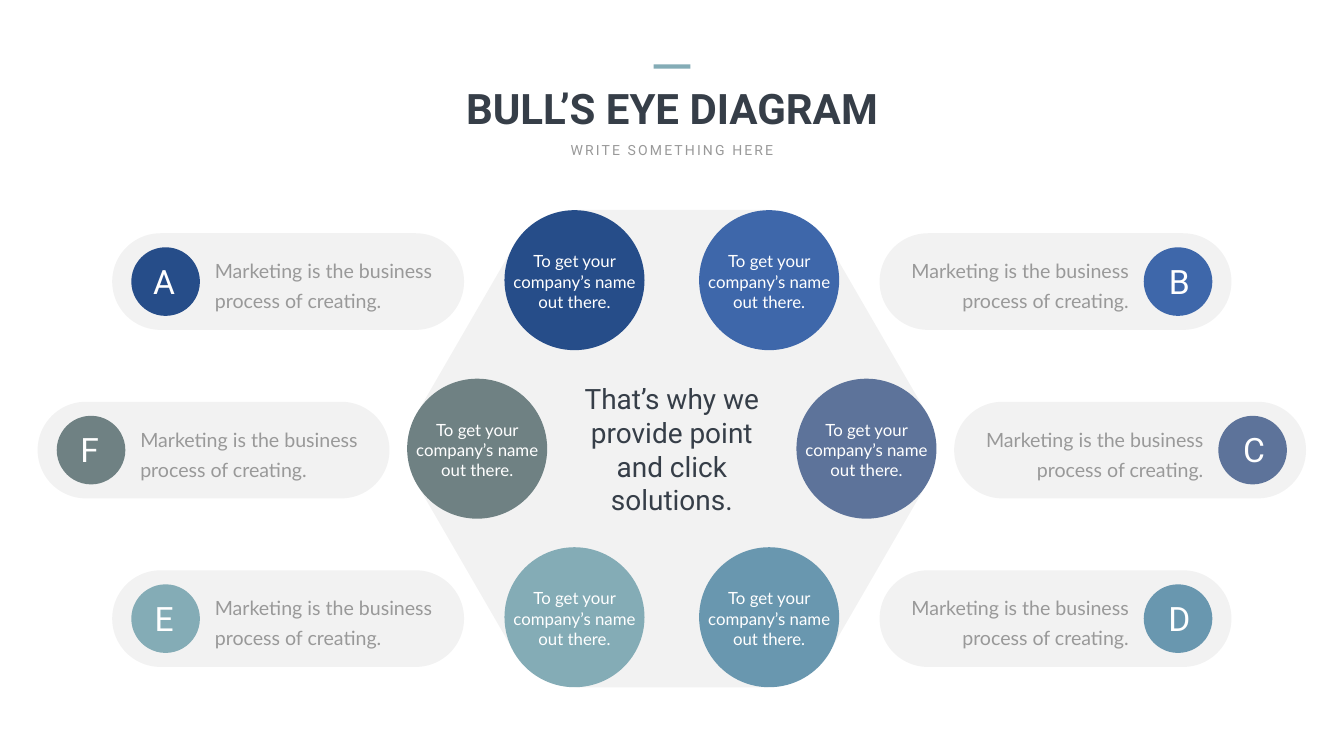
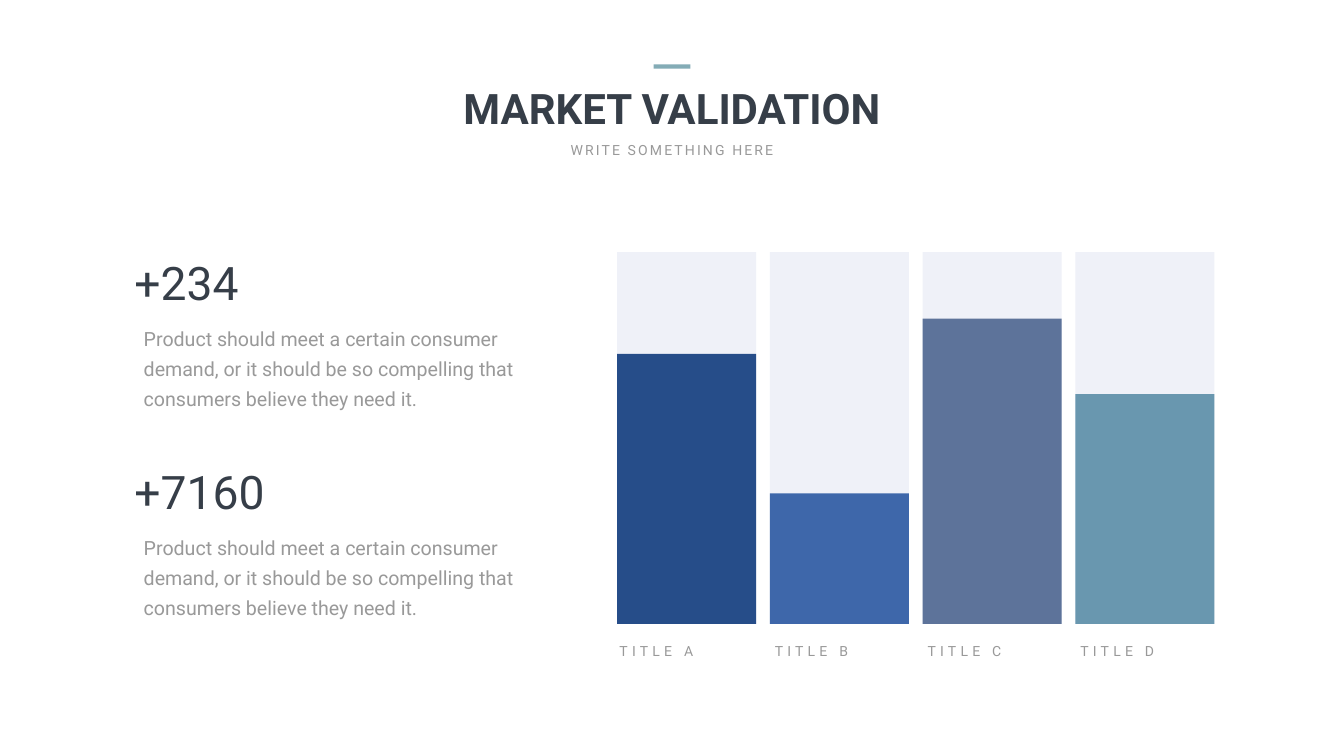
from dataclasses import dataclass
from math import cos, radians, sin

from lxml.etree import SubElement
from pptx import Presentation
from pptx.dml.color import RGBColor
from pptx.enum.shapes import MSO_SHAPE as Preset
from pptx.enum.text import PP_ALIGN as Align
from pptx.oxml.ns import qn
from pptx.shapes.autoshape import Shape
from pptx.slide import Slide
from pptx.util import Pt


@dataclass(frozen=True)
class Theme:
    """Colours, fonts and type sizes of both slides."""
    white: str = "FFFFFF"
    ink: str = "363E48"
    muted: str = "999999"
    veil: str = "808080"
    track: str = "EFF1F8"
    navy: str = "264D89"
    blue: str = "3E67AA"
    slate: str = "5D739A"
    steel: str = "6997AF"
    aqua: str = "84ACB6"
    moss: str = "6F8183"
    heading_font: str = "Roboto"
    body_font: str = "Lato"
    title_size: float = 60
    number_size: float = 66
    letter_size: float = 48
    center_size: float = 40
    body_size: float = 28
    node_size: float = 24
    label_size: float = 20
    body_leading: float = 43
    veil_opacity: int = 10


THEME = Theme()
SLIDE_WIDTH, SLIDE_HEIGHT = 1919.52, 1080
MIDDLE = SLIDE_WIDTH / 2


@dataclass(frozen=True)
class Box:
    """A rectangle in points."""
    left: float
    top: float
    width: float
    height: float

    @classmethod
    def around(cls, x: float, y: float, width: float, height: float) -> "Box":
        return cls(x - width / 2, y - height / 2, width, height)

    def lengths(self) -> tuple[Pt, Pt, Pt, Pt]:
        return Pt(self.left), Pt(self.top), Pt(self.width), Pt(self.height)


@dataclass(frozen=True)
class Style:
    """Appearance of a text box."""
    size: float
    color: str
    font: str = THEME.heading_font
    align: Align = Align.LEFT
    bold: bool = False
    tracking: float = 0
    leading: float = 0
    wrap: bool = True
    inset: tuple[float, float] = (7.2, 3.6)


@dataclass(frozen=True)
class Node:
    """One circle of the ring and the pill beside it."""
    letter: str
    angle: float
    color: str


@dataclass(frozen=True)
class Bar:
    """One column of the validation bars."""
    label: str
    height: float
    color: str


@dataclass(frozen=True)
class Stat:
    """A large number with a paragraph below it."""
    number: str
    top: float


TITLE = Style(THEME.title_size, THEME.ink, align=Align.CENTER, bold=True)
SUBTITLE = Style(THEME.label_size, THEME.muted, align=Align.CENTER, tracking=3, wrap=False)
LETTER = Style(THEME.letter_size, THEME.white, align=Align.CENTER)
NODE_TEXT = Style(THEME.node_size, THEME.white, THEME.body_font, Align.CENTER)
CENTER_TEXT = Style(THEME.center_size, THEME.ink, align=Align.CENTER)
BAR_LABEL = Style(THEME.label_size, THEME.muted, tracking=6, wrap=False)
NUMBER = Style(THEME.number_size, THEME.ink)
STAT_TEXT = Style(THEME.body_size, THEME.muted, leading=THEME.body_leading, inset=(17.28, 8.64))

RING_X, RING_Y, RING_RADIUS = 959.5, 641, 278
HUB_RADIUS, HUB_CORNER = 272, 105
NODES = (
    Node("A", 240, THEME.navy),
    Node("B", 300, THEME.blue),
    Node("C", 0, THEME.slate),
    Node("D", 60, THEME.steel),
    Node("E", 120, THEME.aqua),
    Node("F", 180, THEME.moss),
)

BAR_LEFT, BAR_STEP, BAR_WIDTH = 881.3, 218.2, 198.7
BAR_TOP, BAR_HEIGHT = 360, 531.4
BARS = (
    Bar("TITLE A", 386, THEME.navy),
    Bar("TITLE B", 186.5, THEME.blue),
    Bar("TITLE C", 436.3, THEME.slate),
    Bar("TITLE D", 328.3, THEME.steel),
)
STATS = (Stat("+234", 360), Stat("+7160", 658.8))


def paint(shape: Shape, color: str, opacity: int = 100) -> None:
    """Give a shape a flat fill with no line or shadow."""
    shape.shadow.inherit = False
    shape.fill.solid()
    shape.fill.fore_color.rgb = RGBColor.from_string(color)
    shape.line.fill.background()
    if opacity < 100:
        color_element = shape.element.spPr.find(qn("a:solidFill"))[0]
        SubElement(color_element, qn("a:alpha")).set("val", str(opacity * 1000))


def add_figure(slide: Slide, preset: Preset, box: Box, color: str, opacity: int = 100) -> Shape:
    """Draw a filled preset shape."""
    shape = slide.shapes.add_shape(preset, *box.lengths())
    paint(shape, color, opacity)
    return shape


def add_text(slide: Slide, text: str, box: Box, style: Style) -> None:
    """Write one paragraph in a text box."""
    text_frame = slide.shapes.add_textbox(*box.lengths()).text_frame
    text_frame.word_wrap = style.wrap
    text_frame.margin_left = text_frame.margin_right = Pt(style.inset[0])
    text_frame.margin_top = text_frame.margin_bottom = Pt(style.inset[1])
    text_frame.text = text
    paragraph = text_frame.paragraphs[0]
    paragraph.alignment = style.align
    if style.leading:
        paragraph.line_spacing = Pt(style.leading)
    run = paragraph.runs[0]
    run.font.name = style.font
    run.font.size = Pt(style.size)
    run.font.bold = style.bold
    run.font.color.rgb = RGBColor.from_string(style.color)
    if style.tracking:
        run.font._element.set("spc", str(int(style.tracking * 100)))


def add_titled_slide(presentation: Presentation, title: str) -> Slide:
    """Add a blank slide with the shared heading."""
    slide = presentation.slides.add_slide(presentation.slide_layouts[6])
    slide.background.fill.solid()
    slide.background.fill.fore_color.rgb = RGBColor.from_string(THEME.white)
    add_text(slide, title, Box.around(MIDDLE, 154.5, 810, 80), TITLE)
    add_text(slide, "WRITE SOMETHING HERE", Box.around(MIDDLE, 214, 313, 32), SUBTITLE)
    add_figure(slide, Preset.RECTANGLE, Box.around(MIDDLE, 95, 52.6, 5.8), THEME.aqua)
    return slide


def ring_point(angle: float, radius: float) -> tuple[float, float]:
    """Find a point on a circle around the ring centre."""
    return RING_X + radius * cos(radians(angle)), RING_Y + radius * sin(radians(angle))


def add_hub(slide: Slide) -> None:
    """Draw the rounded hexagon behind the ring."""
    outline = []
    for corner in range(0, 360, 60):
        x, y = ring_point(corner, HUB_RADIUS)
        for angle in range(corner - 30, corner + 31, 3):
            turn = radians(angle)
            outline.append((x + HUB_CORNER * cos(turn), y + HUB_CORNER * sin(turn)))
    builder = slide.shapes.build_freeform(*outline[0], scale=Pt(1))
    builder.add_line_segments(outline[1:], close=True)
    paint(builder.convert_to_shape(), THEME.veil, THEME.veil_opacity)


def add_pill(slide: Slide, node: Node) -> None:
    """Draw the lettered pill on the outer side of a node."""
    side = 1 if cos(radians(node.angle)) > 0 else -1
    x = RING_X + side * (654.5 if node.angle % 180 == 0 else 548)
    y = ring_point(node.angle, RING_RADIUS)[1] + 2
    pill = add_figure(slide, Preset.ROUNDED_RECTANGLE, Box.around(x, y, 502.5, 138),
                      THEME.veil, THEME.veil_opacity)
    pill.adjustments[0] = 0.5
    add_figure(slide, Preset.OVAL, Box.around(x + side * 175, y, 98, 98), node.color)
    add_text(slide, node.letter, Box.around(x + side * 177, y - 1, 59, 65.5), LETTER)
    style = Style(THEME.body_size, THEME.muted, THEME.body_font,
                  Align.RIGHT if side > 0 else Align.LEFT, leading=THEME.body_leading)
    add_text(slide, "Marketing is the business process of creating.",
             Box.around(x - side * 53.3, y, 330, 90), style)


def build_bulls_eye(presentation: Presentation) -> None:
    """Build the ring diagram with its six pills."""
    slide = add_titled_slide(presentation, "BULL’S EYE DIAGRAM")
    for node in NODES:
        add_pill(slide, node)
    add_hub(slide)
    for node in NODES:
        x, y = ring_point(node.angle, RING_RADIUS)
        add_figure(slide, Preset.OVAL, Box.around(x, y, 200, 200), node.color)
        add_text(slide, "To get your company’s name out there.",
                 Box.around(x, y + 2, 190, 94.3), NODE_TEXT)
    add_text(slide, "That’s why we provide point and click solutions.",
             Box.around(RING_X, RING_Y + 1.5, 288, 201), CENTER_TEXT)


def build_market_validation(presentation: Presentation) -> None:
    """Build the four bars and the two statistics."""
    slide = add_titled_slide(presentation, "MARKET VALIDATION")
    for index, bar in enumerate(BARS):
        left = BAR_LEFT + index * BAR_STEP
        value_top = BAR_TOP + BAR_HEIGHT - bar.height
        add_figure(slide, Preset.RECTANGLE, Box(left, BAR_TOP, BAR_WIDTH, BAR_HEIGHT), THEME.track)
        add_figure(slide, Preset.RECTANGLE, Box(left, value_top, BAR_WIDTH, bar.height), bar.color)
        label_left = left if index else left - 3.6
        add_text(slide, bar.label, Box(label_left, 913.7, 126.7, 31.7), BAR_LABEL)
    for stat in STATS:
        add_text(slide, stat.number, Box(185, stat.top, 216, 87), NUMBER)
        add_text(slide, "Product should meet a certain consumer demand, or it should be so "
                 "compelling that consumers believe they need it.",
                 Box(188, stat.top + 88.6, 574, 144), STAT_TEXT)


def main() -> None:
    """Build and save both slides."""
    presentation = Presentation()
    presentation.slide_width, presentation.slide_height = Pt(SLIDE_WIDTH), Pt(SLIDE_HEIGHT)
    build_bulls_eye(presentation)
    build_market_validation(presentation)
    presentation.save("out.pptx")


if __name__ == "__main__":
    main()
